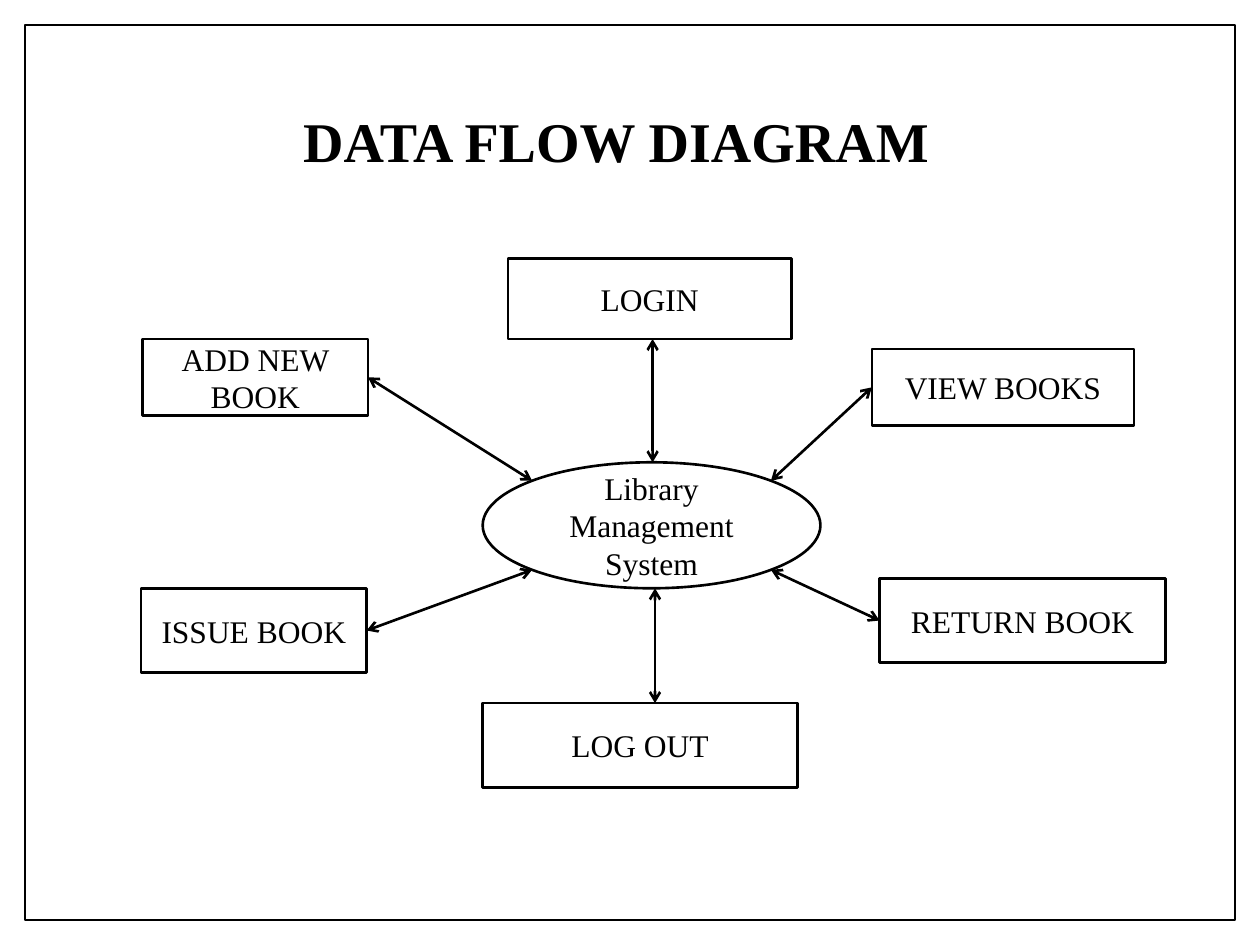
from math import cos, pi
from lxml import etree
from pptx import Presentation
from pptx.dml.color import RGBColor
from pptx.enum.shapes import MSO_CONNECTOR, MSO_SHAPE
from pptx.enum.text import MSO_ANCHOR, MSO_AUTO_SIZE, PP_ALIGN
from pptx.oxml.ns import qn
from pptx.util import Pt

RECT, OVAL = MSO_SHAPE.RECTANGLE, MSO_SHAPE.OVAL
LINE = MSO_CONNECTOR.STRAIGHT
TOP, MIDDLE = MSO_ANCHOR.TOP, MSO_ANCHOR.MIDDLE
CENTER = PP_ALIGN.CENTER
GROW = MSO_AUTO_SIZE.SHAPE_TO_FIT_TEXT
COLORS = {"ink": "000000", "paper": "FFFFFF"}
FONT = "Times New Roman"

HUB = (275.8, 264.2, 193, 72)
NODES = [
    ("LOGIN", (290.2, 147.6, 162, 46.1), (0, -1), 0.6),
    ("LOG OUT", (275.8, 401.8, 180, 48.2), (0, 1), 2),
    ("ADD NEW BOOK", (81.4, 193.7, 128.9, 43.9), (-1, -1), 0),
    ("ISSUE BOOK", (80.6, 336.2, 128.9, 48.2), (-1, 1), 0),
    ("VIEW BOOKS", (498.2, 199.4, 149.8, 43.9), (1, -1), 0),
    ("RETURN BOOK", (502.6, 330.5, 163.4, 48.2), (1, 1), 0),
]


def color(name):
    return RGBColor.from_string(COLORS[name])


def write(shape, text, size=18, bold=False, anchor=MIDDLE):
    frame = shape.text_frame
    frame.word_wrap = True
    frame.vertical_anchor = anchor
    para = frame.paragraphs[0]
    para.alignment = CENTER
    run = para.add_run()
    run.text = text
    run.font.name = FONT
    run.font.size = Pt(size)
    run.font.bold = bold
    run.font.color.rgb = color("ink")
    return frame


def panel(slide, box, kind=RECT, width=1.5):
    shape = slide.shapes.add_shape(kind, *map(Pt, box))
    shape.shadow.inherit = False
    shape.fill.solid()
    shape.fill.fore_color.rgb = color("paper")
    shape.line.color.rgb = color("ink")
    shape.line.width = Pt(width)
    return shape


def arrow(slide, start, end):
    link = slide.shapes.add_connector(LINE, *map(Pt, start + end))
    link.line.color.rgb = color("ink")
    link.line.width = Pt(1.5)
    props = link._element.spPr
    etree.SubElement(props, qn("a:effectLst"))
    for tag in ("a:headEnd", "a:tailEnd"):
        etree.SubElement(props.find(qn("a:ln")), qn(tag), type="arrow")


def middle(box):
    left, top, width, height = box
    return left + width / 2, top + height / 2


def ends(hub, box, side, shift):
    (hub_x, hub_y), (box_x, box_y) = middle(hub), middle(box)
    across, down = side
    reach = cos(pi / 4) if across else 1
    start = (hub_x + across * reach * hub[2] / 2 + shift,
             hub_y + down * reach * hub[3] / 2)
    if across:
        return start, (box_x - across * box[2] / 2, box_y)
    return start, (start[0], box_y - down * box[3] / 2)


def title(slide, box, text):
    shape = slide.shapes.add_textbox(*map(Pt, box))
    frame = write(shape, text, size=32, bold=True, anchor=TOP)
    frame.auto_size = GROW


def diagram(slide, hub, nodes):
    write(panel(slide, hub, OVAL), "Library Management System")
    for text, box, side, shift in nodes:
        write(panel(slide, box), text)
        arrow(slide, *ends(hub, box, side, shift))


def main():
    deck = Presentation()
    deck.slide_width, deck.slide_height = Pt(720), Pt(540)
    slide = deck.slides.add_slide(deck.slide_layouts[6])
    panel(slide, (14.4, 14.4, 691.2, 511.2), width=1)
    diagram(slide, HUB, NODES)
    title(slide, (61.2, 57.6, 581.8, 46.1), "DATA FLOW DIAGRAM")
    deck.save("out.pptx")


main()
